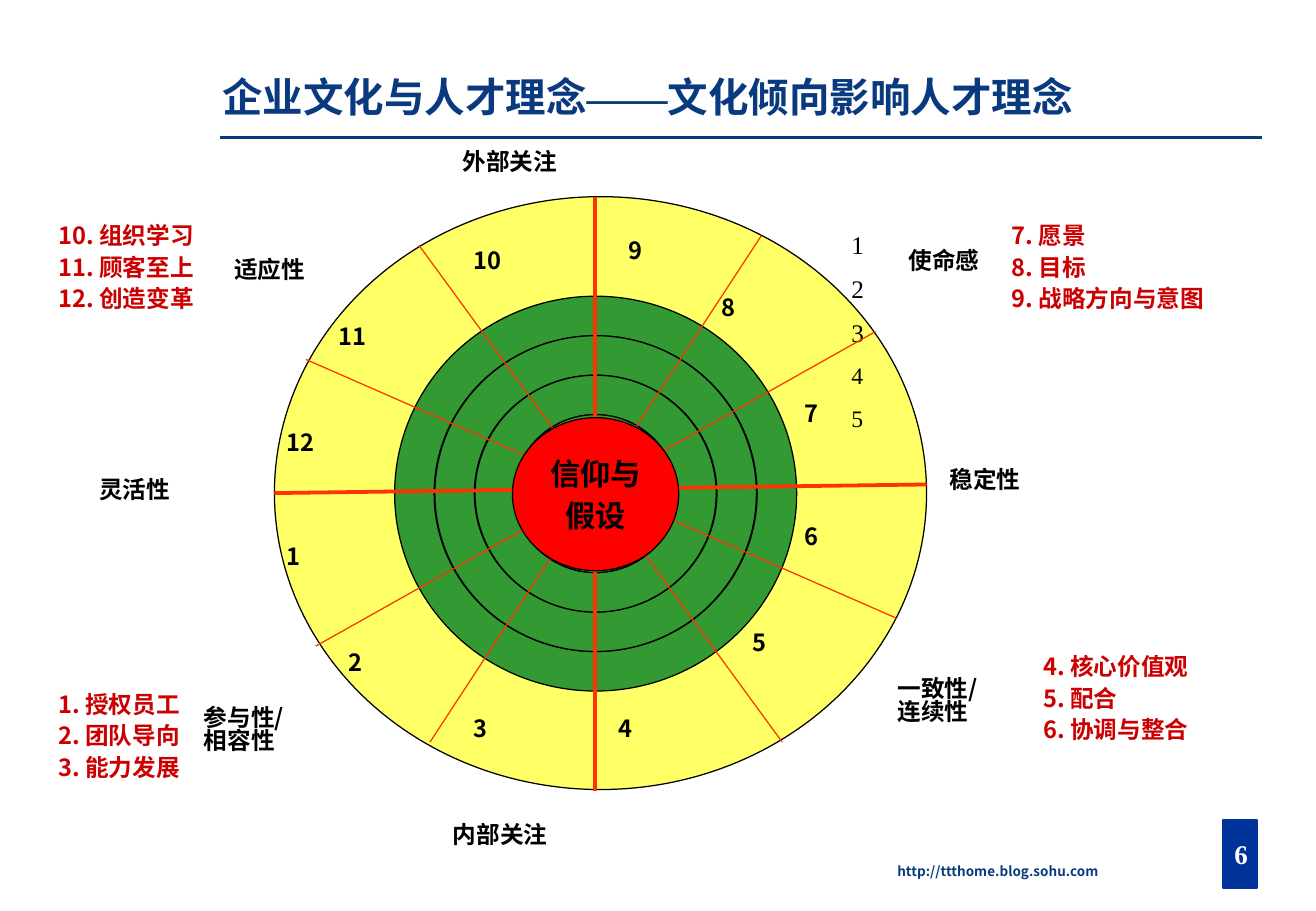
from lxml import etree
from pptx import Presentation
from pptx.dml.color import RGBColor
from pptx.enum.shapes import MSO_CONNECTOR, MSO_SHAPE
from pptx.enum.text import MSO_ANCHOR, PP_ALIGN
from pptx.oxml.ns import qn
from pptx.util import Pt

STRAIGHT = MSO_CONNECTOR.STRAIGHT
OVAL, DONUT, RECTANGLE = MSO_SHAPE.OVAL, MSO_SHAPE.DONUT, MSO_SHAPE.RECTANGLE
TOP, MIDDLE, BOTTOM = MSO_ANCHOR.TOP, MSO_ANCHOR.MIDDLE, MSO_ANCHOR.BOTTOM
LEFT, CENTER = PP_ALIGN.LEFT, PP_ALIGN.CENTER

SANS, SERIF = "Noto Sans CJK SC", "Times New Roman"
COLORS = {
    "navy": "093A80", "badge": "003399", "white": "FFFFFF", "black": "000000",
    "yellow": "FFFF66", "green": "339933", "red": "FF0000",
    "spoke": "FF3300", "list": "CC0000",
}
INSETS = (7.2, 3.6, 7.2, 3.6)
LIST_INSETS = (7.2, 3.6, 7.2, 19)
NO_INSETS = (0, 0, 0, 0)

# Spokes: start x, start y, end x, end y, width, relative to the wheel
SPOKES = [
    (0, 175.7, 386.6, 170.6, 2.25), (190.1, 0, 190.1, 352.1, 2.25),
    (85.7, 28.8, 301, 323.3, 0.75), (18.7, 96.5, 368.6, 249.8, 0.75),
    (24.5, 266.4, 356.4, 79.9, 0.75), (288.7, 23, 92.2, 323.3, 0.75),
]
# Places of sectors 1 to 12, relative to the wheel
SECTORS = [
    (0, 193), (36.7, 255.6), (110.9, 295.2), (196.6, 295.2),
    (276.5, 244.1), (307.4, 181.4), (307.4, 108), (257.8, 45.4),
    (203, 11.5), (110.9, 17.3), (31, 62.6), (0, 125.3),
]
LABELS = [
    ("外部关注", (267.1, 71.3, 196.6, 51.1)),
    ("内部关注", (261.4, 474.5, 196.6, 43.2)),
    ("灵活性", (51.8, 270, 110.9, 43.2)),
    ("稳定性", (555.8, 264.2, 116.6, 43.2)),
    ("使命感", (531.4, 133.9, 73.4, 43.2)),
    ("一致性/\n连续性", (524.9, 394.6, 104.4, 43.2)),
    ("适应性", (131.8, 139.7, 85.7, 43.2)),
    ("参与性/\n相容性", (113.8, 411.8, 97.9, 43.2)),
]
LISTS = [
    ("1. 授权员工\n2. 团队导向\n3. 能力发展", (27.4, 400.3, 110.2, 85)),
    ("4. 核心价值观\n5. 配合\n6. 协调与整合", (611.3, 366.5, 135.4, 108)),
    ("7. 愿景\n8. 目标\n9. 战略方向与意图", (592.6, 122.4, 165.6, 85)),
    ("10. 组织学习\n11. 顾客至上\n12. 创造变革", (27.4, 122.4, 123.1, 85)),
]


def color(name):
    return RGBColor.from_string(COLORS[name])


def set_font(font, properties, name):
    """Use one typeface for Latin and East Asian text."""
    font.name = name
    east = etree.Element(qn("a:ea"), typeface=name)
    properties.find(qn("a:latin")).addnext(east)


def write(shape, text, size, ink="black", name=SANS, bold=True, spacing=None,
          align=LEFT, anchor=MIDDLE, insets=INSETS):
    frame = shape.text_frame
    frame.word_wrap = True
    frame.vertical_anchor = anchor
    (frame.margin_left, frame.margin_top,
     frame.margin_right, frame.margin_bottom) = [Pt(inset) for inset in insets]
    frame.text = text
    for para in frame.paragraphs:
        para.alignment = align
        if spacing:
            para.line_spacing = Pt(spacing)
        font = para.font
        font.size, font.bold = Pt(size), bold
        font.color.rgb = color(ink)
        set_font(font, para._p.pPr.find(qn("a:defRPr")), name)


def add_text(page, box, text, size, **style):
    shape = page.shapes.add_textbox(*[Pt(length) for length in box])
    write(shape, text, size, **style)
    return shape


def add_figure(page, kind, box, fill, line="black", width=0.75):
    shape = page.shapes.add_shape(kind, *[Pt(length) for length in box])
    shape.shadow.inherit = False
    shape.fill.solid()
    shape.fill.fore_color.rgb = color(fill)
    shape.line.color.rgb = color(line)
    shape.line.width = Pt(width)
    return shape


def add_line(page, ends, ink, width):
    line = page.shapes.add_connector(STRAIGHT, *[Pt(end) for end in ends])
    line.line.color.rgb = color(ink)
    line.line.width = Pt(width)
    etree.SubElement(line._element.spPr, qn("a:effectLst"))


def add_header(page, left, top, width):
    add_line(page, (left - 1.5, top + 60.2, left + width - 31.7, top + 60.2), "navy", 2)
    title = add_text(page, (left, top, width, 50.4), "", 24, ink="navy",
                     spacing=23.4, anchor=BOTTOM, insets=NO_INSETS)
    para = title.text_frame.paragraphs[0]
    parts = [("企业文化与人才理念", SANS), ("——", SERIF), ("文化倾向影响人才理念", SANS)]
    for text, name in parts:
        span = para.add_run()
        span.text = text
        set_font(span.font, span._r.get_or_add_rPr(), name)


def add_wheel(page, left, top, width, height):
    add_figure(page, OVAL, (left, top, width, height), "yellow")

    # Concentric rings, from the outside in
    center_x, center_y = left + 190.4, top + 176
    for ring in range(5, 0, -1):
        ring_width, ring_height = 47.66 * ring, 46.8 * ring
        box = (center_x - ring_width / 2, center_y - ring_height / 2,
               ring_width, ring_height)
        shape = add_figure(page, DONUT if ring > 1 else OVAL, box, "green")
        if ring > 1:
            shape.adjustments[0] = 0.5 / ring

    # Scale beside the rings
    for step in range(5):
        add_text(page, (left + 342, top + 19.5 + 25.9 * step, 47.5, 25.9),
                 str(step + 1), 15 if step < 3 else 14, name=SERIF,
                 bold=False, anchor=TOP, insets=NO_INSETS)

    # Spokes and sector numbers
    for x1, y1, x2, y2, weight in SPOKES:
        add_line(page, (left + x1, top + y1, left + x2, top + y2), "spoke", weight)
    for number, (x, y) in enumerate(SECTORS, 1):
        add_text(page, (left + x, top + y, 73.4, 43.2), str(number), 14, spacing=13.7)

    # Core
    core = add_figure(page, OVAL, (left + 141.1, top + 131, 98.6, 90.7), "red")
    write(core, "信仰与\n假设", 18, spacing=25.2, align=CENTER, insets=(0, 0, 0, 3.6))


def add_captions(page):
    for text, box in LABELS:
        add_text(page, box, text, 14, spacing=13.7)
    for text, box in LISTS:
        add_text(page, box, text, 14, ink="list", spacing=18.5, insets=LIST_INSETS)


def add_footer(page, left, top):
    add_text(page, (left, top + 16.6, 254.9, 37.4), "http://ttthome.blog.sohu.com", 8,
             ink="navy", spacing=8, insets=(7.2, 3.6, 7.2, 12))
    add_figure(page, RECTANGLE, (left + 200.1, top, 20.2, 40.3), "badge", "badge", 1)
    add_text(page, (left + 167.7, top + 7.2, 86.4, 26.6), "6", 16, ink="white",
             name=SERIF, align=CENTER, anchor=TOP)


def main():
    deck = Presentation()
    deck.slide_width, deck.slide_height = Pt(780.13), Pt(540)
    page = deck.slides.add_slide(deck.slide_layouts[6])
    add_header(page, 131.8, 21.2, 648)
    add_wheel(page, 162.7, 116.6, 386.6, 351.4)
    add_captions(page)
    add_footer(page, 524.9, 486)
    deck.save("out.pptx")


if __name__ == "__main__":
    main()
